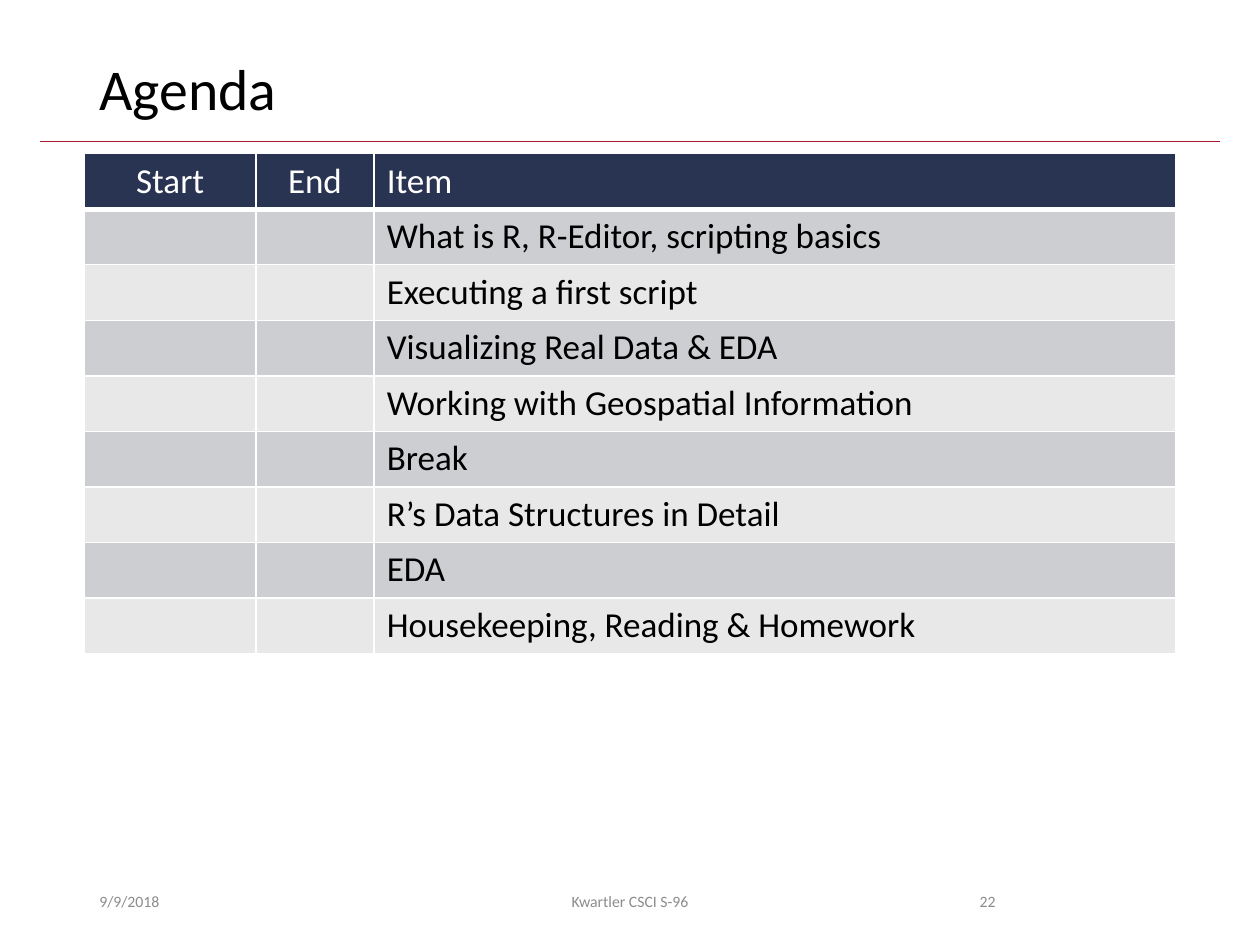
from dataclasses import dataclass

from lxml import etree
from pptx import Presentation
from pptx.dml.color import RGBColor
from pptx.enum.shapes import MSO_CONNECTOR
from pptx.enum.text import MSO_ANCHOR, PP_ALIGN
from pptx.oxml.ns import qn
from pptx.util import Inches, Pt

LEFT, CENTER, RIGHT = PP_ALIGN.LEFT, PP_ALIGN.CENTER, PP_ALIGN.RIGHT
MIDDLE = MSO_ANCHOR.MIDDLE
STRAIGHT = MSO_CONNECTOR.STRAIGHT
TITLE_ONLY = 5


@dataclass(frozen=True)
class Theme:
    """Colours, font and type sizes of the slide."""
    font: str = "Calibri"
    ink: str = "000000"
    white: str = "FFFFFF"
    muted: str = "8C8C8C"
    rule: str = "A51C30"
    header: str = "293352"
    bands: tuple = ("CDCED1", "E8E8E9")
    title_size: int = 33
    table_size: int = 20
    footer_size: int = 9


THEME = Theme()
COLUMNS = [("Start", 1.36, CENTER), ("End", 0.94, CENTER), ("Item", 6.36, LEFT)]
ROW_HEIGHT = 0.41
ITEMS = [
    "What is R, R-Editor, scripting basics",
    "Executing a first script",
    "Visualizing Real Data & EDA",
    "Working with Geospatial Information",
    "Break",
    "R’s Data Structures in Detail",
    "EDA",
    "Housekeeping, Reading & Homework",
]
FOOTERS = [
    ("9/9/2018", 0.69, 2.25, LEFT),
    ("Kwartler CSCI S-96", 3.31, 3.38, CENTER),
    ("22", 7.06, 0.94, RIGHT),
]


def apply(target, values):
    """Set every attribute named in values on target."""
    for name, value in values.items():
        setattr(target, name, value)


def write(frame, text, size, color, align=LEFT):
    """Write one formatted paragraph and return it."""
    para = frame.paragraphs[0]
    para.alignment = align
    span = para.add_run()
    span.text = text
    apply(span.font, {"name": THEME.font, "size": Pt(size), "bold": False})
    span.font.color.rgb = RGBColor.from_string(color)
    return para


def place(shape, left, top, width, height):
    """Move and size a shape, in inches."""
    apply(shape, {"left": Inches(left), "top": Inches(top),
                  "width": Inches(width), "height": Inches(height)})


def add_title(slide, text):
    """Fill the title placeholder."""
    title = slide.shapes.title
    place(title, 0.69, 0.4, 8.62, 0.65)
    apply(title.text_frame, {"vertical_anchor": MIDDLE, "word_wrap": True})
    write(title.text_frame, text, THEME.title_size, THEME.ink).line_spacing = 0.9


def add_rule(slide):
    """Draw the thin line below the title."""
    rule = slide.shapes.add_connector(
        STRAIGHT, Inches(0.32), Inches(1.12), Inches(9.68), Inches(1.12))
    rule.line.color.rgb = RGBColor.from_string(THEME.rule)
    rule.line.width = Pt(0.5)
    etree.SubElement(rule._element.spPr, qn("a:effectLst"))


def style_cell(cell, fill, bottom):
    """Give a cell white borders and a solid fill."""
    properties = cell._tc.get_or_add_tcPr()
    for side, width in (("L", 1), ("R", 1), ("T", 1), ("B", bottom)):
        border = etree.SubElement(properties, qn(f"a:ln{side}"), w=str(Pt(width)))
        solid = etree.SubElement(border, qn("a:solidFill"))
        etree.SubElement(solid, qn("a:srgbClr"), val=THEME.white)
    cell.fill.solid()
    cell.fill.fore_color.rgb = RGBColor.from_string(fill)


def add_agenda(slide):
    """Build the agenda table with a header and banded rows."""
    rows = [[name for name, _, _ in COLUMNS]] + [["", "", item] for item in ITEMS]
    frame = slide.shapes.add_table(
        len(rows), len(COLUMNS), Inches(0.67), Inches(1.22), Inches(8.66), Inches(3.9))
    table = frame.table
    for column, (_, width, _) in zip(table.columns, COLUMNS):
        column.width = Inches(width)
    for index, texts in enumerate(rows):
        table.rows[index].height = Inches(ROW_HEIGHT)
        is_header = index == 0
        fill = THEME.header if is_header else THEME.bands[(index - 1) % 2]
        color = THEME.white if is_header else THEME.ink
        for cell, text, (_, _, align) in zip(table.rows[index].cells, texts, COLUMNS):
            style_cell(cell, fill, 3 if is_header else 1)
            if text:
                write(cell.text_frame, text, THEME.table_size, color, align)
    frame.height = Inches(3.9)


def add_footer(slide, text, left, width, align):
    """Add one small grey footer text."""
    box = slide.shapes.add_textbox(
        Inches(left), Inches(6.95), Inches(width), Inches(0.4))
    apply(box.text_frame, {"word_wrap": True, "vertical_anchor": MIDDLE})
    write(box.text_frame, text, THEME.footer_size, THEME.muted, align)


def main():
    """Build and save the agenda slide."""
    deck = Presentation()
    apply(deck, {"slide_width": Inches(10), "slide_height": Inches(7.5)})
    slide = deck.slides.add_slide(deck.slide_layouts[TITLE_ONLY])
    add_rule(slide)
    add_title(slide, "Agenda")
    add_agenda(slide)
    for footer in FOOTERS:
        add_footer(slide, *footer)
    deck.save("out.pptx")


if __name__ == "__main__":
    main()
